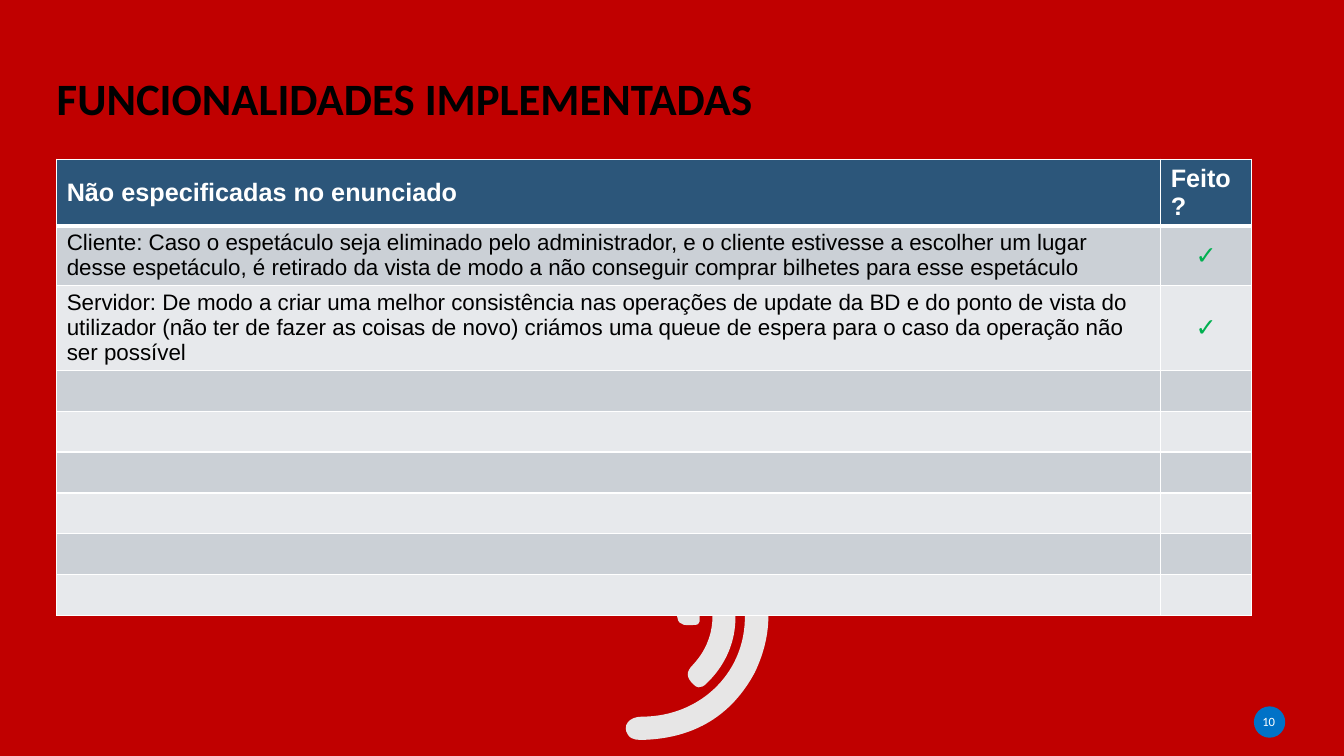
from itertools import chain
from lxml.etree import SubElement
from pptx import Presentation
from pptx.dml.color import RGBColor
from pptx.enum.shapes import MSO_SHAPE as Shape
from pptx.enum.text import MSO_ANCHOR as Anchor, MSO_AUTO_SIZE as AutoSize, PP_ALIGN as Align
from pptx.oxml.ns import qn
from pptx.util import Cm, Pt

COLOURS = {
    "background": "C00000", "arc": "E7E6E6", "badge": "0072C7",
    "header": "2C567A", "odd": "CBD0D6", "even": "E7E9EC",
    "white": "FFFFFF", "black": "000000", "check": "00B050",
}
TITLE = "FUNCIONALIDADES IMPLEMENTADAS"
PAGE = "10"
HEADINGS = ("Não especificadas no enunciado", "Feito ?")
FEATURES = [
    ("Cliente: Caso o espetáculo seja eliminado pelo administrador, e o cliente "
     "estivesse a escolher um lugar desse espetáculo, é retirado da vista de modo "
     "a não conseguir comprar bilhetes para esse espetáculo", "✓"),
    ("Servidor: De modo a criar uma melhor consistência nas operações de update da BD "
     "e do ponto de vista do utilizador (não ter de fazer as coisas de novo) criámos "
     "uma queue de espera para o caso da operação não ser possível", "✓"),
]
EMPTY_ROWS = 6
COLUMN_WIDTHS = (27.82, 2.3)
ROW_HEIGHT = 1.03
INCH = 2.54

ARCS = [
    ((7.43, 5.47), [
        (7.65, 5.81, 7.7, 6.23, 7.49, 6.67), (7.26, 7.1, 6.89, 7.32, 6.4, 7.34),
        (6.34, 7.34, 6.27, 7.35, 6.23, 7.29), (6.17, 7.2, 6.24, 7.11, 6.37, 7.11),
        (6.93, 7.11, 7.37, 6.7, 7.39, 6.16), (7.41, 5.67, 7.06, 5.24, 6.59, 5.15),
        (6.1, 5.06, 5.63, 5.33, 5.47, 5.8), (5.46, 5.81, 5.45, 5.83, 5.45, 5.85),
        (5.43, 5.94, 5.38, 5.97, 5.29, 5.95), (5.19, 5.92, 5.21, 5.84, 5.24, 5.78),
        (5.35, 5.4, 5.6, 5.13, 5.97, 4.99), (6.49, 4.79, 7.06, 4.97, 7.43, 5.47)]),
    ((7.12, 5.6), [
        (7.38, 5.96, 7.35, 6.42, 7.05, 6.74), (7, 6.79, 6.95, 6.86, 6.88, 6.79),
        (6.81, 6.72, 6.8, 6.67, 6.88, 6.59), (7.11, 6.34, 7.13, 5.99, 6.94, 5.73),
        (6.75, 5.47, 6.41, 5.38, 6.09, 5.53), (6, 5.57, 5.96, 5.54, 5.92, 5.47),
        (5.87, 5.38, 5.94, 5.35, 6, 5.32), (6.37, 5.12, 6.86, 5.24, 7.12, 5.6)]),
    ((6.84, 5.8), [
        (6.9, 5.89, 6.94, 5.99, 6.94, 6.1), (6.94, 6.14, 6.96, 6.2, 6.89, 6.2),
        (6.82, 6.2, 6.73, 6.22, 6.72, 6.12), (6.7, 5.98, 6.63, 5.88, 6.5, 5.82),
        (6.41, 5.78, 6.46, 5.7, 6.48, 5.64), (6.5, 5.57, 6.55, 5.6, 6.59, 5.62),
        (6.7, 5.65, 6.77, 5.72, 6.84, 5.8)]),
]


def rgb(name):
    return RGBColor.from_string(COLOURS[name])


def style(paragraph, font, size, colour, bold=False, align=Align.LEFT):
    paragraph.alignment = align
    paragraph.font.name = font
    paragraph.font.size = Pt(size)
    paragraph.font.bold = bold
    paragraph.font.color.rgb = rgb(colour)


def paint(shape, colour):
    shape.shadow.inherit = False
    shape.fill.solid()
    shape.fill.fore_color.rgb = rgb(colour)
    shape.line.fill.background()


def set_frame(frame, bottom=0):
    frame.margin_left = frame.margin_right = frame.margin_top = 0
    frame.margin_bottom = Cm(bottom)
    frame.vertical_anchor = Anchor.MIDDLE
    frame.auto_size = AutoSize.NONE
    frame.word_wrap = True


def add_arc(slide, start, curves):
    values = [Cm(value * INCH) for value in chain(start, *curves)]
    first, *controls = zip(values[::2], values[1::2])
    builder = slide.shapes.build_freeform(*first)
    builder.add_line_segments(controls, close=True)
    arc = builder.convert_to_shape()
    paint(arc, "arc")
    outline = next(arc._element.iter(qn("a:path")))
    lines = outline.findall(qn("a:lnTo"))
    close = outline.find(qn("a:close"))
    for i in range(0, len(lines), 3):
        curve = SubElement(outline, qn("a:cubicBezTo"))
        for line in lines[i:i + 3]:
            curve.append(line[0])
            outline.remove(line)
    outline.append(close)


def set_borders(cell, widths):
    properties = cell._tc.get_or_add_tcPr()
    for side, width in widths.items():
        line = SubElement(properties, qn(f"a:ln{side}"), w=str(Pt(width)))
        fill = SubElement(line, qn("a:solidFill"))
        SubElement(fill, qn("a:srgbClr"), val=COLOURS["white"])


def add_features(slide):
    rows = [HEADINGS, *FEATURES, *[("", "")] * EMPTY_ROWS]
    table = slide.shapes.add_table(
        len(rows), len(HEADINGS), Cm(1.43), Cm(4.01),
        Cm(sum(COLUMN_WIDTHS)), Cm(ROW_HEIGHT * len(rows))).table
    table.horz_banding = False
    for column, width in zip(table.columns, COLUMN_WIDTHS):
        column.width = Cm(width)
    for r, texts in enumerate(rows):
        table.rows[r].height = Cm(ROW_HEIGHT)
        band = "header" if r == 0 else "odd" if r % 2 else "even"
        for c, text in enumerate(texts):
            cell = table.cell(r, c)
            set_borders(cell, {"L": 1, "R": 1, "T": 3 if r == 1 else 1, "B": 3 if r == 0 else 1})
            cell.fill.solid()
            cell.fill.fore_color.rgb = rgb(band)
            if r == 0 or c == 1:
                cell.vertical_anchor = Anchor.MIDDLE
            if not text:
                continue
            cell.text = text
            paragraph = cell.text_frame.paragraphs[0]
            if r == 0:
                style(paragraph, "Arial", 18, "white", bold=True)
            elif c == 1:
                style(paragraph, "Arial", 18, "check", bold=True, align=Align.CENTER)
            else:
                style(paragraph, "Arial", 16, "black")


def add_title(slide):
    title = slide.shapes.title
    title.left, title.top, title.width, title.height = Cm(1.43), Cm(1.4), Cm(21.87), Cm(3.68)
    title.text = TITLE
    set_frame(title.text_frame, bottom=1.39)
    paragraph = title.text_frame.paragraphs[0]
    paragraph.line_spacing = 0.9
    style(paragraph, "Calibri", 32, "black", bold=True)


def add_page_number(slide):
    paint(slide.shapes.add_shape(Shape.OVAL, Cm(31.6), Cm(17.8), Cm(0.79), Cm(0.79)), "badge")
    number = slide.shapes.add_textbox(Cm(31.57), Cm(17.93), Cm(0.81), Cm(0.51)).text_frame
    set_frame(number)
    number.text = PAGE
    style(number.paragraphs[0], "Calibri", 9, "white", align=Align.CENTER)


def main():
    deck = Presentation()
    deck.slide_width, deck.slide_height = Cm(33.87), Cm(19.05)
    slide = deck.slides.add_slide(deck.slide_layouts[5])
    slide.background.fill.solid()
    slide.background.fill.fore_color.rgb = rgb("background")
    for start, curves in ARCS:
        add_arc(slide, start, curves)
    add_page_number(slide)
    add_title(slide)
    add_features(slide)
    deck.save("out.pptx")


if __name__ == "__main__":
    main()
